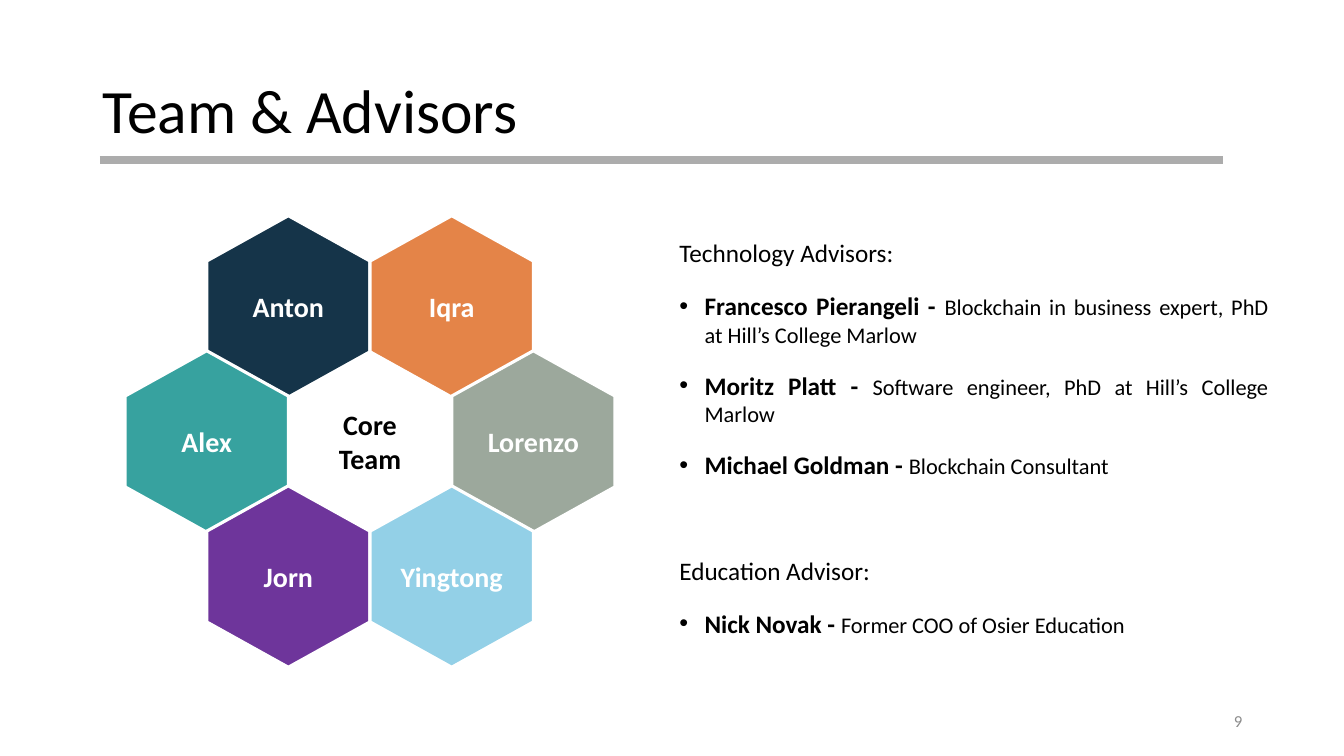
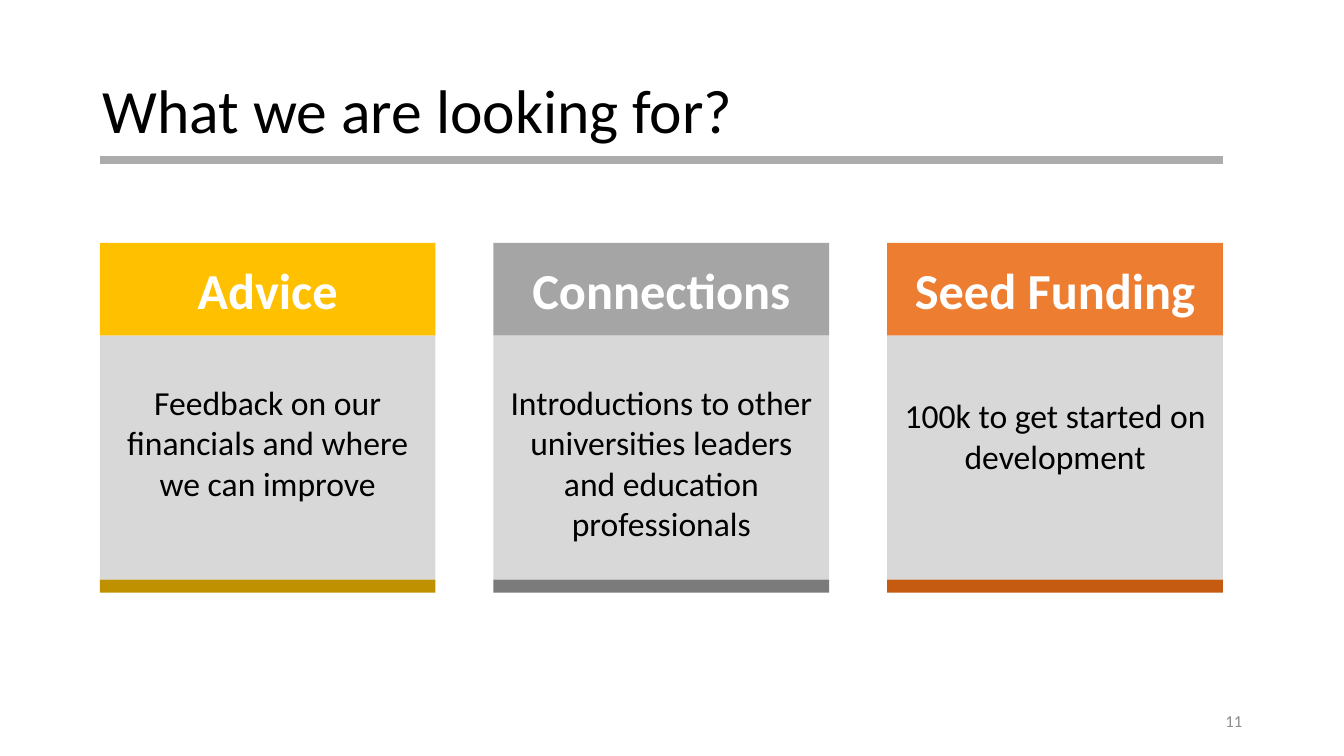
import dataclasses
import typing

import lxml.etree
import pptx
import pptx.dml.color
import pptx.enum.shapes
import pptx.enum.text
import pptx.oxml.ns
import pptx.shapes.autoshape
import pptx.shapes.shapetree
import pptx.slide
import pptx.text.text
import pptx.util

Inches = pptx.util.Inches
ALIGN = pptx.enum.text.PP_ALIGN
ANCHOR = pptx.enum.text.MSO_ANCHOR


@dataclasses.dataclass(frozen=True)
class Theme:
    font: str = "Calibri"
    text: str = "000000"
    inverse: str = "FFFFFF"
    rule: str = "ACACAC"
    muted: str = "8C8C8C"
    panel: str = "D8D8D8"
    title_size: float = 44
    card_heading_size: float = 36
    card_body_size: float = 24
    member_size: float = 20
    advisor_size: float = 18
    role_size: float = 16
    number_size: float = 12
    rule_width: float = 6
    outline_width: float = 2.25
    paragraph_gap: float = 16
    section_gap: float = 54


THEME = Theme()
CONTENT_LEFT = 0.99
CONTENT_RIGHT = 12.13


class Box(typing.NamedTuple):
    left: float
    top: float
    width: float
    height: float

    def lengths(self) -> tuple[pptx.util.Length, ...]:
        return tuple(Inches(value) for value in self)


class Member(typing.NamedTuple):
    name: str
    column: float
    row: int
    color: str


class Advisor(typing.NamedTuple):
    name: str
    role: str


class Section(typing.NamedTuple):
    heading: str
    advisors: tuple[Advisor, ...]


class Card(typing.NamedTuple):
    heading: str
    body: str
    color: str
    accent: str
    body_inset: float


MEMBERS = (
    Member("Anton", -0.5, -1, "153449"),
    Member("Iqra", 0.5, -1, "E48448"),
    Member("Alex", -1, 0, "37A29F"),
    Member("Lorenzo", 1, 0, "9CA89C"),
    Member("Jorn", -0.5, 1, "6E359B"),
    Member("Yingtong", 0.5, 1, "93D0E7"),
)

SECTIONS = (
    Section("Technology Advisors:", (
        Advisor("Francesco Pierangeli", "Blockchain in business expert, PhD at Hill’s College Marlow"),
        Advisor("Moritz Platt", "Software engineer, PhD at Hill’s College Marlow"),
        Advisor("Michael Goldman", "Blockchain Consultant"),
    )),
    Section("Education Advisor:", (
        Advisor("Nick Novak", "Former COO of Osier Education"),
    )),
)

CARDS = (
    Card("Advice", "Feedback on our financials and where we can improve",
         "FFC000", "BF9000", 0.46),
    Card("Connections", "Introductions to other universities leaders and education professionals",
         "A5A5A5", "7B7B7B", 0.46),
    Card("Seed Funding", "100k to get started on development",
         "ED7D31", "C55A11", 0.59),
)


def rgb(color: str) -> pptx.dml.color.RGBColor:
    return pptx.dml.color.RGBColor.from_string(color)


def style_run(run, size: float, color: str = THEME.text, bold: bool = False) -> None:
    run.font.name = THEME.font
    run.font.size = pptx.util.Pt(size)
    run.font.bold = bold
    run.font.color.rgb = rgb(color)


def set_text(shape: pptx.shapes.autoshape.Shape, text: str, size: float,
             color: str = THEME.text, bold: bool = False,
             alignment: ALIGN = ALIGN.CENTER, anchor: ANCHOR = ANCHOR.MIDDLE) -> None:
    frame = shape.text_frame
    frame.text = text
    frame.word_wrap = True
    frame.vertical_anchor = anchor
    for paragraph in frame.paragraphs:
        paragraph.alignment = alignment
        for run in paragraph.runs:
            style_run(run, size, color, bold)


def fill_shape(shape: pptx.shapes.autoshape.Shape, color: str) -> None:
    shape.shadow.inherit = False
    shape.fill.solid()
    shape.fill.fore_color.rgb = rgb(color)


def add_rectangle(shapes: pptx.shapes.shapetree.GroupShapes, box: Box,
                  color: str) -> pptx.shapes.autoshape.Shape:
    shape = shapes.add_shape(pptx.enum.shapes.MSO_SHAPE.RECTANGLE, *box.lengths())
    fill_shape(shape, color)
    shape.line.fill.background()
    return shape


def add_titled_slide(presentation, title: str, number: int) -> pptx.slide.Slide:
    slide = presentation.slides.add_slide(presentation.slide_layouts[6])
    title_box = slide.shapes.add_textbox(*Box(0.92, 0.4, 11.5, 1.45).lengths())
    set_text(title_box, title, THEME.title_size, alignment=ALIGN.LEFT)
    title_box.text_frame.paragraphs[0].line_spacing = 0.9

    rule = slide.shapes.add_connector(
        pptx.enum.shapes.MSO_CONNECTOR.STRAIGHT,
        Inches(CONTENT_LEFT), Inches(1.59), Inches(CONTENT_RIGHT), Inches(1.59))
    rule.line.color.rgb = rgb(THEME.rule)
    rule.line.width = pptx.util.Pt(THEME.rule_width)
    lxml.etree.SubElement(rule.element.spPr, pptx.oxml.ns.qn("a:effectLst"))

    number_box = slide.shapes.add_textbox(*Box(9.42, 6.95, 3, 0.4).lengths())
    set_text(number_box, str(number), THEME.number_size, THEME.muted, alignment=ALIGN.RIGHT)
    return slide


def add_hexagon(shapes: pptx.shapes.shapetree.GroupShapes, center_x: float, center_y: float,
                width: float, height: float, color: str) -> pptx.shapes.autoshape.Shape:
    offsets = ((0, -0.5), (0.5, -0.25), (0.5, 0.25), (0, 0.5), (-0.5, 0.25), (-0.5, -0.25))
    points = [(Inches(center_x + x * width), Inches(center_y + y * height)) for x, y in offsets]
    builder = shapes.build_freeform(*points[0])
    builder.add_line_segments(points[1:], close=True)
    hexagon = builder.convert_to_shape()
    fill_shape(hexagon, color)
    hexagon.line.color.rgb = rgb(THEME.inverse)
    hexagon.line.width = pptx.util.Pt(THEME.outline_width)
    return hexagon


def add_core_team(slide: pptx.slide.Slide) -> None:
    center_x, center_y = 3.67, 4.38
    width, height, row_pitch = 1.62, 1.8, 1.34
    group = slide.shapes.add_group_shape()
    for member in MEMBERS:
        hexagon = add_hexagon(group.shapes, center_x + member.column * width,
                              center_y + member.row * row_pitch, width, height, member.color)
        set_text(hexagon, member.name, THEME.member_size, THEME.inverse, bold=True)
    label_height = 0.8
    label = slide.shapes.add_textbox(
        *Box(center_x - width / 2, center_y - label_height / 2, width, label_height).lengths())
    set_text(label, "Core\nTeam", THEME.member_size, bold=True)


def add_bullet(paragraph: pptx.text.text._Paragraph) -> None:
    properties = paragraph._p.get_or_add_pPr()
    properties.set("marL", str(Inches(0.25)))
    properties.set("indent", str(Inches(-0.25)))
    font = lxml.etree.SubElement(properties, pptx.oxml.ns.qn("a:buFont"))
    font.set("typeface", "Arial")
    bullet = lxml.etree.SubElement(properties, pptx.oxml.ns.qn("a:buChar"))
    bullet.set("char", "•")


def add_advisors(slide: pptx.slide.Slide) -> None:
    frame = slide.shapes.add_textbox(*Box(6.64, 2.31, 6.04, 4.79).lengths()).text_frame
    frame.word_wrap = True
    for index, section in enumerate(SECTIONS):
        heading = frame.add_paragraph() if index else frame.paragraphs[0]
        heading.text = section.heading
        heading.alignment = ALIGN.JUSTIFY
        heading.space_before = pptx.util.Pt(THEME.section_gap if index else 0)
        style_run(heading.runs[0], THEME.advisor_size)
        for advisor in section.advisors:
            paragraph = frame.add_paragraph()
            paragraph.alignment = ALIGN.JUSTIFY
            paragraph.space_before = pptx.util.Pt(THEME.paragraph_gap)
            add_bullet(paragraph)
            paragraph.text = f"{advisor.name} - "
            style_run(paragraph.runs[0], THEME.advisor_size, bold=True)
            role = paragraph.add_run()
            role.text = advisor.role
            style_run(role, THEME.role_size)


def add_card(slide: pptx.slide.Slide, card: Card, left: float, width: float) -> None:
    top, heading_height, body_height, accent_height = 2.41, 0.92, 2.42, 0.13
    body_top = top + heading_height
    shapes = slide.shapes.add_group_shape().shapes
    heading = add_rectangle(shapes, Box(left, top, width, heading_height), card.color)
    set_text(heading, card.heading, THEME.card_heading_size, THEME.inverse, bold=True)
    body = add_rectangle(shapes, Box(left, body_top, width, body_height), THEME.panel)
    set_text(body, card.body, THEME.card_body_size, anchor=ANCHOR.TOP)
    body.text_frame.margin_top = Inches(card.body_inset)
    add_rectangle(shapes, Box(left, body_top + body_height, width, accent_height), card.accent)


def add_cards(slide: pptx.slide.Slide) -> None:
    width = 3.33
    pitch = (CONTENT_RIGHT - CONTENT_LEFT - width) / (len(CARDS) - 1)
    for index, card in enumerate(CARDS):
        add_card(slide, card, CONTENT_LEFT + index * pitch, width)


def main() -> None:
    presentation = pptx.Presentation()
    presentation.slide_width = Inches(13.33)
    presentation.slide_height = Inches(7.5)
    team_slide = add_titled_slide(presentation, "Team & Advisors", 9)
    add_core_team(team_slide)
    add_advisors(team_slide)
    add_cards(add_titled_slide(presentation, "What we are looking for?", 11))
    presentation.save("out.pptx")


if __name__ == "__main__":
    main()
